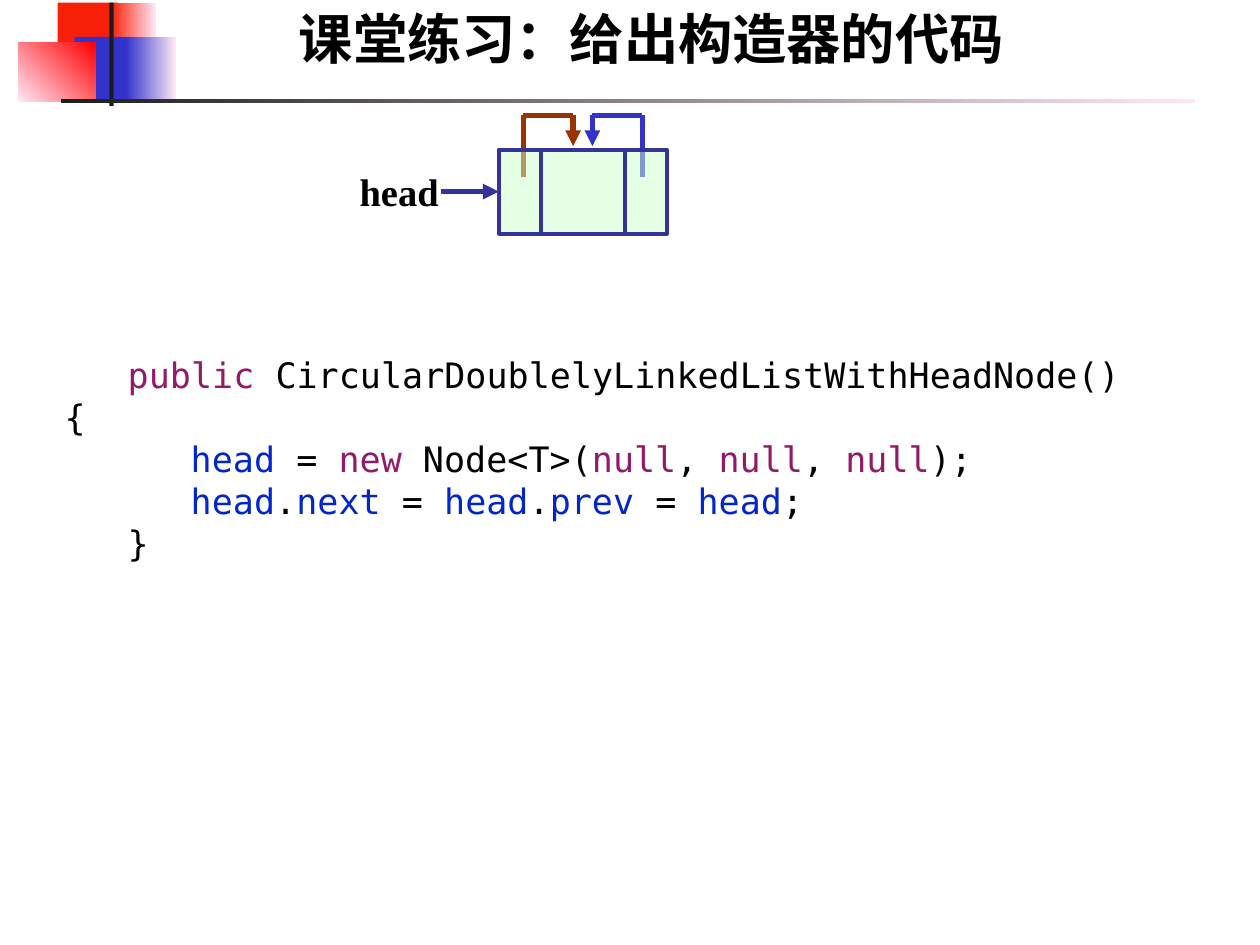
from pptx import Presentation
from pptx.dml.color import RGBColor
from pptx.enum.shapes import MSO_CONNECTOR as CONN, MSO_SHAPE as SHAPE
from pptx.enum.text import MSO_ANCHOR as ANCHOR, PP_ALIGN as ALIGN
from pptx.oxml.ns import qn
from pptx.util import Pt
from lxml.etree import SubElement

BLACK = RGBColor(0x00, 0x00, 0x00)
CHARCOAL = RGBColor(0x1C, 0x1C, 0x1C)
SCARLET = RGBColor(0xF8, 0x1F, 0x08)
RED = RGBColor(0xFF, 0x00, 0x00)
PINK = RGBColor(0xFE, 0xE8, 0xF7)
BLUE = RGBColor(0x33, 0x33, 0xCC)
NAVY = RGBColor(0x33, 0x33, 0x99)
BROWN = RGBColor(0x99, 0x33, 0x00)
MINT = RGBColor(0xCC, 0xFF, 0xCC)
KEYWORD = RGBColor(0x93, 0x1A, 0x68)
FIELD = RGBColor(0x03, 0x26, 0xCC)

CODE = [
    [("\t", BLACK), ("public", KEYWORD),
     (" CircularDoublelyLinkedListWithHeadNode() {", BLACK)],
    [("\t\t", BLACK), ("head", FIELD), (" = ", BLACK), ("new", KEYWORD),
     (" Node<T>(", BLACK), ("null", KEYWORD), (", ", BLACK),
     ("null", KEYWORD), (", ", BLACK), ("null", KEYWORD), (");", BLACK)],
    [("\t\t", BLACK), ("head", FIELD), (".", BLACK), ("next", FIELD),
     (" = ", BLACK), ("head", FIELD), (".", BLACK), ("prev", FIELD),
     (" = ", BLACK), ("head", FIELD), (";", BLACK)],
    [("\t}", BLACK)],
]


class Deck:
    """Holds the style and the current slide, and draws each kind of element."""

    serif = "Times New Roman"
    mono = "DejaVu Sans Mono"
    tab = 36

    def __init__(self, slide):
        self.shapes = slide.shapes

    def rect(self, x, y, w, h, color, fade=None, angle=0):
        sp = self.shapes.add_shape(SHAPE.RECTANGLE, Pt(x), Pt(y), Pt(w), Pt(h))
        sp.shadow.inherit = False
        sp.line.fill.background()
        if fade is None:
            sp.fill.solid()
            sp.fill.fore_color.rgb = color
        else:
            sp.fill.gradient()
            sp.fill.gradient_angle = angle
            for stop, rgb in zip(sp.fill.gradient_stops, (color, fade)):
                stop.color.rgb = rgb
        return sp

    def node(self, x, y, w, h):
        sp = self.rect(x, y, w, h, MINT)
        sp.line.color.rgb = NAVY
        sp.line.width = Pt(2.25)
        color = sp.fill._xPr.find(qn("a:solidFill"))[0]
        SubElement(color, qn("a:alpha"), val="50000")
        return sp

    def line(self, x1, y1, x2, y2, color, width=3, arrow=False):
        cxn = self.shapes.add_connector(CONN.STRAIGHT, Pt(x1), Pt(y1), Pt(x2), Pt(y2))
        cxn.line.color.rgb = color
        cxn.line.width = Pt(width)
        if arrow:
            SubElement(cxn.line._get_or_add_ln(), qn("a:tailEnd"), type="triangle")
        SubElement(cxn._element.spPr, qn("a:effectLst"))
        return cxn

    def frame(self, x, y, w, h, inset):
        tf = self.shapes.add_textbox(Pt(x), Pt(y), Pt(w), Pt(h)).text_frame
        tf.word_wrap = True
        tf.margin_left = tf.margin_right = Pt(inset)
        tf.margin_top = tf.margin_bottom = Pt(inset)
        return tf

    def text(self, x, y, w, h, text, size, align=ALIGN.LEFT):
        p = self.frame(x, y, w, h, 3).paragraphs[0]
        p.text = text
        p.alignment = align
        p.font.name, p.font.size, p.font.bold = self.serif, Pt(size), True
        p.font.color.rgb = BLACK

    def code(self, x, y, w, h, lines, size):
        tf = self.frame(x, y, w, h, 4.5)
        tf.vertical_anchor = ANCHOR.MIDDLE
        for i, line in enumerate(lines):
            p = tf.add_paragraph() if i else tf.paragraphs[0]
            tabs = SubElement(p._p.get_or_add_pPr(), qn("a:tabLst"))
            for n in (1, 2):
                SubElement(tabs, qn("a:tab"), pos=str(Pt(n * self.tab)), algn="l")
            p.font.name, p.font.size = self.mono, Pt(size)
            for text, color in line:
                r = p.add_run()
                r.text = text
                r.font.color.rgb = color


def draw_banner(deck):
    deck.rect(33, 1.5, 34.5, 37.5, SCARLET)
    deck.rect(63.5, 1.5, 25.5, 37.5, SCARLET, PINK)
    deck.rect(42.5, 21, 33, 37, BLUE)
    deck.rect(72, 21, 28.5, 37, BLUE, PINK)
    deck.rect(10.5, 24.5, 44, 33.5, PINK, RED, 45)
    deck.rect(62.5, 1.5, 2.5, 59, CHARCOAL)
    deck.rect(34.75, 56.5, 648, 2.5, CHARCOAL, PINK)
    deck.text(60, 0, 624, 50, "课堂练习：给出构造器的代码", 31, ALIGN.CENTER)


def draw_list(deck):
    x, y, w, h = 285, 85.5, 96, 48
    center = x + w / 2
    loop_top, loop_start, loop_tip = 66, 101, 83.5
    for side, color in ((1, BLUE), (-1, BROWN)):
        outer, inner = center + side * 34, center + side * 5.5
        deck.line(outer, loop_start, outer, loop_top, color)
        deck.line(outer, loop_top, inner, loop_top, color)
        deck.line(inner, loop_top, inner, loop_tip, color, arrow=True)
    deck.text(202.5, 93, 68, 31, "head", 22)
    pointer = deck.line(252, y + h / 2, x, y + h / 2, NAVY, arrow=True)
    node = deck.node(x, y, w, h)
    pointer.end_connect(node, 1)
    for part in (0.25, 0.75):
        deck.line(x + part * w, y, x + part * w, y + h, NAVY, 2.25)


def main():
    prs = Presentation()
    prs.slide_width, prs.slide_height = Pt(720), Pt(540)
    deck = Deck(prs.slides.add_slide(prs.slide_layouts[6]))
    draw_banner(deck)
    draw_list(deck)
    deck.code(32.5, 204.5, 631, 114.5, CODE, 20)
    prs.save("out.pptx")


if __name__ == "__main__":
    main()
